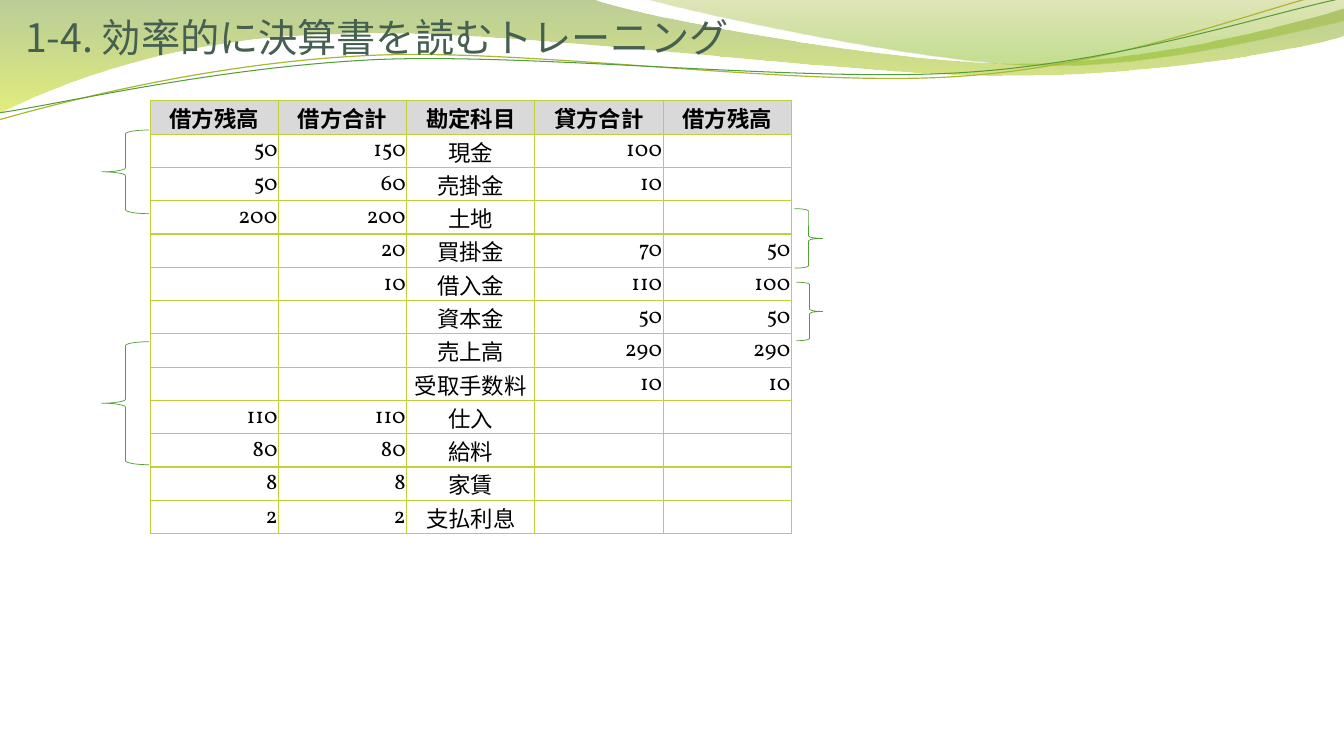
from math import cos, radians, sin
from lxml.etree import SubElement as Sub
from pptx import Presentation
from pptx.dml.color import RGBColor
from pptx.enum.shapes import MSO_SHAPE as Shape
from pptx.enum.text import MSO_ANCHOR as Anchor, PP_ALIGN as Align
from pptx.oxml.ns import qn
from pptx.util import Inches, Pt

SANS, SERIF = "Noto Sans CJK JP", "Vollkorn"
GREEN, LIME = "549E39", "C0CF3A"
TILT = 357.3
HEADS = ["借方残高", "借方合計", "勘定科目", "貸方合計", "借方残高"]
ROWS = [
    ["50", "150", "現金", "100", ""],
    ["50", "60", "売掛金", "10", ""],
    ["200", "200", "土地", "", ""],
    ["", "20", "買掛金", "70", "50"],
    ["", "10", "借入金", "110", "100"],
    ["", "", "資本金", "50", "50"],
    ["", "", "売上高", "290", "290"],
    ["", "", "受取手数料", "10", "10"],
    ["110", "110", "仕入", "", ""],
    ["80", "80", "給料", "", ""],
    ["8", "8", "家賃", "", ""],
    ["2", "2", "支払利息", "", ""],
]
BANDS = [
    ([(0, 0), (5.87, -0.01),
      (6.34, 0.17, 8.84, 0.63, 10.11, 0.63),
      (11.37, 0.63, 12.77, 0.26, 13.33, 0.09), (13.34, 0.36),
      (13.11, 0.44, 11.59, 0.76, 9.94, 0.75),
      (8.29, 0.75, 5.09, 0.28, 3.43, 0.34),
      (1.72, 0.36, 0.61, 0.83, -0.02, 1.13)],
     [(0, "69921C", 45), (1, "CCE10F", 55)]),
    ([(6.38, -0.01),
      (6.79, 0.11, 9.09, 0.62, 10.25, 0.65),
      (11.4, 0.69, 12.82, 0.32, 13.33, 0.21), (13.33, 0)],
     [(0, "9BAA1A", 30), (0.8, "81BA16", 45)]),
]
WAVES = [
    ([(-0.01, 1.19),
      (0.63, 1.01, 2.1, 0.62, 3.69, 0.55),
      (5.27, 0.48, 7.89, 0.87, 9.49, 0.76),
      (11.1, 0.66, 12.51, 0.08, 13.3, -0.1)], "A9B733", 0.85),
    ([(-0.01, 1.12),
      (0.62, 1.03, 2.18, 0.66, 3.77, 0.59),
      (5.37, 0.53, 7.96, 0.82, 9.55, 0.72),
      (11.14, 0.62, 12.55, 0.14, 13.33, -0.02)], GREEN, 0.75),
]
BRACES = [
    (Shape.LEFT_BRACE, 1.01, 1.29, 0.47, 0.83),
    (Shape.LEFT_BRACE, 1.01, 3.39, 0.47, 1.22),
    (Shape.RIGHT_BRACE, 7.88, 2.07, 0.28, 0.59),
    (Shape.RIGHT_BRACE, 7.9, 2.8, 0.26, 0.58),
]


def rgb(code):
    """Turn a hex string into a colour."""
    return RGBColor.from_string(code)


def write(frame, text, font=SERIF, size=16, color="000000", bold=False,
          align=Align.LEFT, space=None):
    """Put formatted text into a text frame."""
    para = frame.paragraphs[0]
    para.alignment, para.line_spacing = align, space
    if not text:
        Sub(para._p, qn("a:endParaRPr"), sz=str(size * 100))
        return
    run = para.add_run()
    run.text = text
    run.font.name, run.font.size, run.font.bold = font, Pt(size), bold
    run.font.color.rgb = rgb(color)
    Sub(run._r.get_or_add_rPr(), qn("a:ea"), typeface=SANS)


def turn(points, angle):
    """Turn points about the middle of the wave."""
    mid, level = 6.66, 0.58
    c, s = cos(radians(angle)), sin(radians(angle))
    return [(mid + (x - mid) * c - (y - level) * s,
             level + (x - mid) * s + (y - level) * c) for x, y in points]


def bend(shape, steps):
    """Join the lines of each curve step into one Bezier curve."""
    lines = iter(list(shape._element.iter(qn("a:lnTo"))))
    for step in steps[1:]:
        group = [next(lines) for _ in range(len(step) // 2)]
        if len(group) == 3:
            curve = group[0].makeelement(qn("a:cubicBezTo"))
            group[0].addprevious(curve)
            for line in group:
                curve.append(line[0])
                line.getparent().remove(line)


def outline(slide, steps, close, angle=0):
    """Draw a curved outline without shadow."""
    points = [step[i:i + 2] for step in steps for i in range(0, len(step), 2)]
    points = [(Inches(x), Inches(y)) for x, y in turn(points, -angle)]
    pen = slide.shapes.build_freeform(*points[0])
    pen.add_line_segments(points[1:], close=close)
    shape = pen.convert_to_shape()
    bend(shape, steps)
    shape.rotation = angle
    shape.shadow.inherit = False
    return shape


def add_band(slide, steps, stops):
    """Draw a band with a see-through gradient from top to bottom."""
    band = outline(slide, steps, True)
    band.line.fill.background()
    band.fill.gradient()
    band.fill.gradient_angle = 270
    for stop, (place, color, _) in zip(band.fill.gradient_stops, stops):
        stop.position, stop.color.rgb = place, rgb(color)
    marks = band._element.spPr.iter(qn("a:srgbClr"))
    for mark, (_, _, alpha) in zip(list(marks), stops):
        Sub(mark, qn("a:alpha"), val=str(alpha * 1000))


def stroke(shape, color, width):
    """Give a shape a line and no fill."""
    shape.fill.background()
    shape.line.color.rgb, shape.line.width = rgb(color), Pt(width)


def add_brace(slide, kind, *box):
    """Draw a thin green brace."""
    brace = slide.shapes.add_shape(kind, *map(Inches, box))
    brace.shadow.inherit = False
    stroke(brace, GREEN, 0.5)


def add_title(slide, text):
    """Place the title above the waves."""
    title = slide.shapes.title
    slide.shapes._spTree.append(title._element)
    title.left, title.top = Inches(0.25), Inches(0)
    title.width, title.height = Inches(12.42), Inches(0.6)
    frame = title.text_frame
    frame.margin_left = frame.margin_right = frame.margin_bottom = 0
    frame.margin_top = Inches(0.05)
    frame.vertical_anchor, frame.word_wrap = Anchor.BOTTOM, True
    write(frame, text, font=SANS, size=28, color="455F51", space=0.8)


def edge(cell, color):
    """Draw all four borders of a cell."""
    props = cell._tc.get_or_add_tcPr()
    for side in ("lnL", "lnR", "lnT", "lnB"):
        line = Sub(props, qn("a:" + side), w=str(Pt(1)))
        Sub(Sub(line, qn("a:solidFill")), qn("a:srgbClr"), val=color)


def add_ledger(slide, rows):
    """Build the trial balance table."""
    box = map(Inches, (1.49, 1, 6.36, 3.6))
    table = slide.shapes.add_table(len(rows), len(rows[0]), *box).table
    table.horz_banding = False
    for r, row in enumerate(rows):
        for c, text in enumerate(row):
            cell, head = table.cell(r, c), r == 0
            edge(cell, LIME)
            cell.margin_left = cell.margin_right = Inches(0.01)
            cell.margin_top, cell.margin_bottom = Inches(0.01), 0
            cell.vertical_anchor = Anchor.MIDDLE
            if head:
                cell.fill.solid()
                cell.fill.fore_color.rgb = rgb("D9D9D9")
            else:
                cell.fill.background()
            mid = head or c == 2
            write(cell.text_frame, text, bold=head,
                  align=Align.CENTER if mid else Align.RIGHT)


def main():
    """Build and save the slide."""
    deck = Presentation()
    deck.slide_width, deck.slide_height = Inches(13.33), Inches(7.5)
    slide = deck.slides.add_slide(deck.slide_layouts[5])
    for steps, stops in BANDS:
        add_band(slide, steps, stops)
    for steps, color, width in WAVES:
        stroke(outline(slide, steps, False, TILT), color, width)
    add_title(slide, "1-4. 効率的に決算書を読むトレーニング")
    add_ledger(slide, [HEADS] + ROWS)
    for brace in BRACES:
        add_brace(slide, *brace)
    deck.save("out.pptx")


main()
